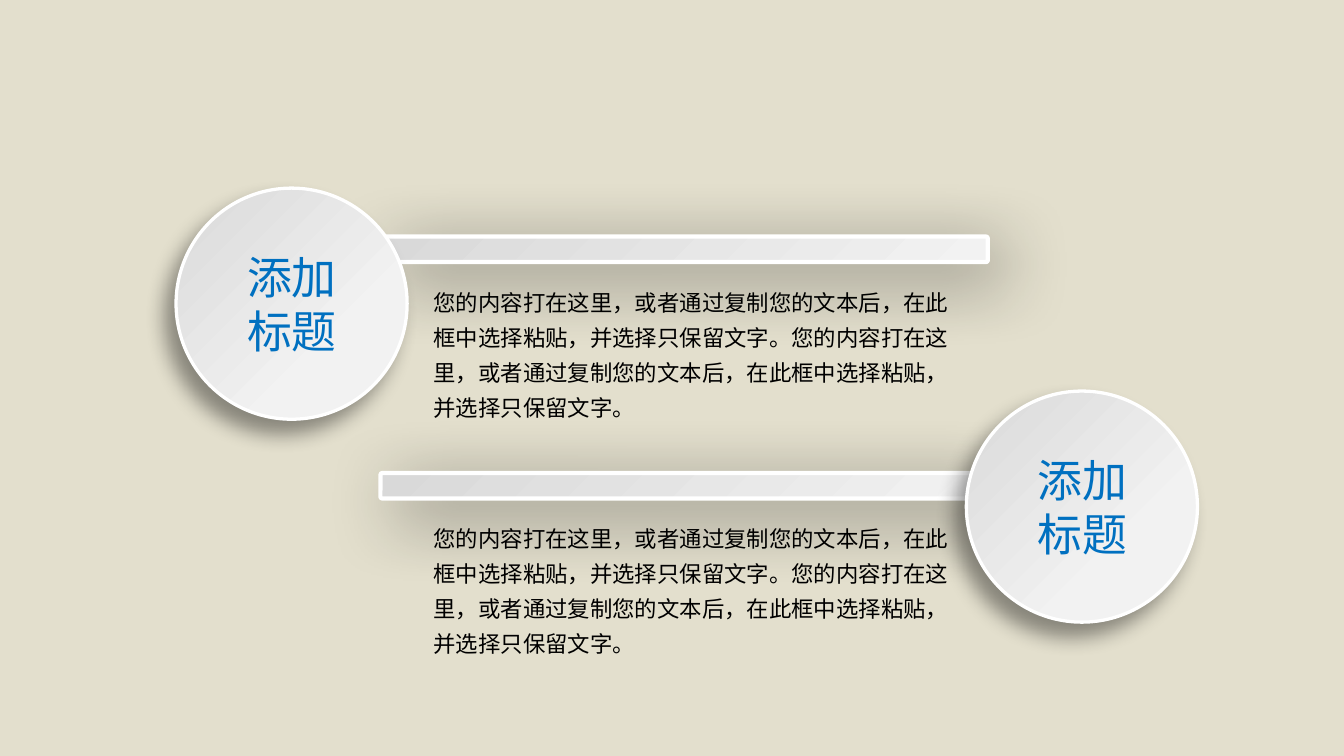
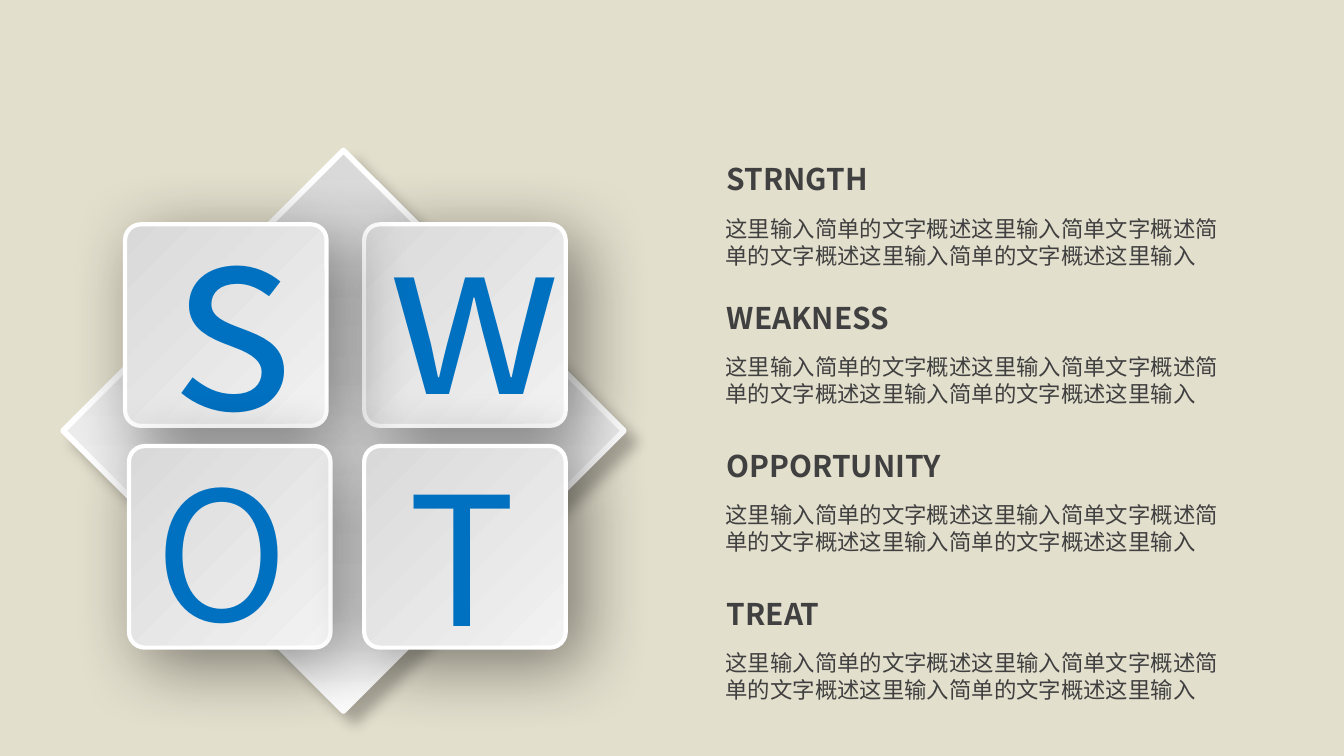
from lxml import etree
from pptx import Presentation
from pptx.dml.color import RGBColor
from pptx.enum import shapes, text
from pptx.oxml.ns import qn
from pptx.util import Pt

SAND, BLUE, INK, BLACK, WHITE = "E3DFCD", "0070C0", "404040", "000000", "FFFFFF"
SANS = "Noto Sans CJK SC"
KIND = shapes.MSO_SHAPE
SOFT = (45, 38, 11, 45)
TITLE = ["添加", "标题"]
STORY = "您的内容打在这里，或者通过复制您的文本后，在此框中选择粘贴，并选择只保留文字。" * 2
BRIEF = "这里输入简单的文字概述这里输入简单文字概述简单的文字概述这里输入简单的文字概述这里输入"


def hue(code):
    """Turn a hex string into a colour."""
    return RGBColor.from_string(code)


def node(home, tag, **attrs):
    """Add a drawing element with attributes."""
    return etree.SubElement(home, qn("a:" + tag), {k: str(v) for k, v in attrs.items()})


def shade(shape, alpha, blur, dist, angle):
    """Give a shape an outer shadow."""
    shape.shadow.inherit = False
    home = shape._element.spPr.find(qn("a:effectLst"))
    outer = node(home, "outerShdw", blurRad=Pt(blur), dist=Pt(dist),
                 dir=angle * 60000, algn="ctr", rotWithShape=0)
    node(node(outer, "srgbClr", val=BLACK), "alpha", val=alpha * 1000)


def plate(slide, kind, box, stops, edge, cast):
    """Draw a pale gradient shape with a white edge and a shadow."""
    shape = slide.shapes.add_shape(kind, *map(Pt, box))
    shape.fill.gradient()
    shape.fill.gradient_angle = 315
    for stop, (place, code) in zip(shape.fill.gradient_stops, stops):
        stop.position = place
        stop.color.rgb = hue(code)
    shape.line.color.rgb = hue(WHITE)
    shape.line.width = Pt(edge)
    shade(shape, *cast)
    return shape


def slab(slide, box):
    """Draw a rounded slab."""
    shape = plate(slide, KIND.ROUNDED_RECTANGLE, box,
                  [(0, "D9D9D9"), (1, "F2F2F2")], 2.25, SOFT)
    shape.adjustments[0] = 0.078


def write(slide, box, lines, size, color, font=SANS, bold=False, wrap=True,
          space=None, inset=(7.2, 3.6)):
    """Add a text box with one paragraph per line."""
    frame = slide.shapes.add_textbox(*map(Pt, box)).text_frame
    frame.word_wrap = wrap
    frame.auto_size = text.MSO_AUTO_SIZE.SHAPE_TO_FIT_TEXT
    frame.margin_left = frame.margin_right = Pt(inset[0])
    frame.margin_top = frame.margin_bottom = Pt(inset[1])
    for i, line in enumerate(lines):
        para = frame.add_paragraph() if i else frame.paragraphs[0]
        if space:
            para.line_spacing = space
        run = para.add_run()
        run.text = line
        run.font.size = Pt(size)
        run.font.bold = bold
        run.font.name = font
        run.font.color.rgb = hue(color)
        node(run._r.get_or_add_rPr(), "ea", typeface=font)


def disc(slide, x, y):
    """Draw a round badge with its label."""
    shape = plate(slide, KIND.OVAL, (x, y, 123.8, 123.8),
                  [(0.31, "F2F2F2"), (1, "D9D9D9")], 1.75, (40, 11, 9, 130))
    grad = shape._element.spPr.find(qn("a:gradFill"))
    grad.remove(grad.find(qn("a:lin")))
    node(node(grad, "path", path="circle"), "fillToRect", l=100000, t=100000)
    write(slide, (x + 31, y + 29.5, 63.4, 65.5), TITLE, 24, BLUE, wrap=False)


def band(slide, x, y, side, rise, wide):
    """Draw a bar with its badge and the story below."""
    slab(slide, (x, y, 325.4, 13.7))
    disc(slide, x + side, y - rise)
    write(slide, (x + 22.7, y + 20.9, wide, 81.4), [STORY], 12, BLACK,
          space=1.3, inset=(5.8, 2.9))


def tile(slide, x, y, sign, size, dx, dy, high):
    """Draw a tile with its large letter."""
    slab(slide, (x, y, 108, 108))
    write(slide, (x + dx, y + dy, 81.4, high), [sign], size, BLUE)


def note(slide, x, y, head):
    """Write a heading and its summary."""
    write(slide, (x, y + 28.8, 279.4, 36), [BRIEF], 12, INK, font="Calibri")
    write(slide, (x + 0.7, y, 159.1, 26.6), [head], 16, INK, bold=True)


def page(deck):
    """Add a blank sand slide."""
    slide = deck.slides.add_slide(deck.slide_layouts[6])
    slide.background.fill.solid()
    slide.background.fill.fore_color.rgb = hue(SAND)
    return slide


def pair(deck):
    """Build the slide with two bars."""
    slide = page(deck)
    band(slide, 203.8, 253.4, 313.9, 43.9, 288)
    band(slide, 203.8, 126.7, -109.5, 25.9, 292.3)


def swot(deck):
    """Build the slide with four tiles and four notes."""
    slide = page(deck)
    gem = plate(slide, KIND.RECTANGLE, (77.8, 124.6, 212.4, 212.4),
                [(0, "D9D9D9"), (1, WHITE)], 3, (25, 7, 8, 45))
    gem.rotation = 45
    for spec in [(195.1, 120.2, "w", 115, 5.8, -27.4, 146.9),
                 (67, 120.2, "s", 138, 18.7, -42.5, 144),
                 (69.1, 239, "O", 96, 7.2, -5.8, 123.8),
                 (195.1, 239, "T", 96, 16.6, -2.9, 123.8)]:
        tile(slide, *spec)
    for y, head in [(82.8, "STRNGTH"), (157, "WEAKNESS"),
                    (236.2, "OPPORTUNITY"), (315.4, "TREAT")]:
        note(slide, 381.6, y, head)


def main():
    """Build and save the deck."""
    deck = Presentation()
    deck.slide_width, deck.slide_height = Pt(720), Pt(405)
    pair(deck)
    swot(deck)
    deck.save("out.pptx")


if __name__ == "__main__":
    main()
